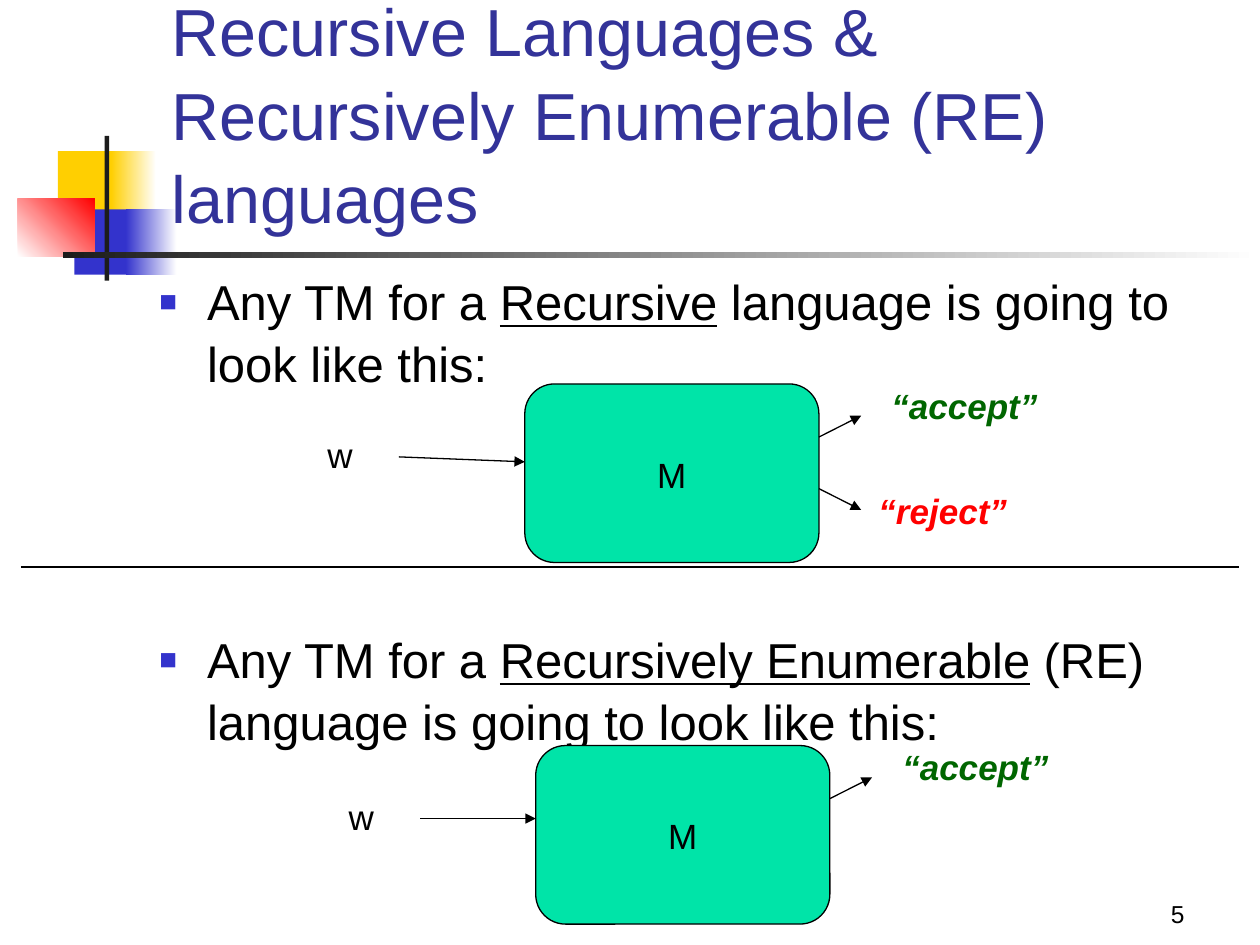
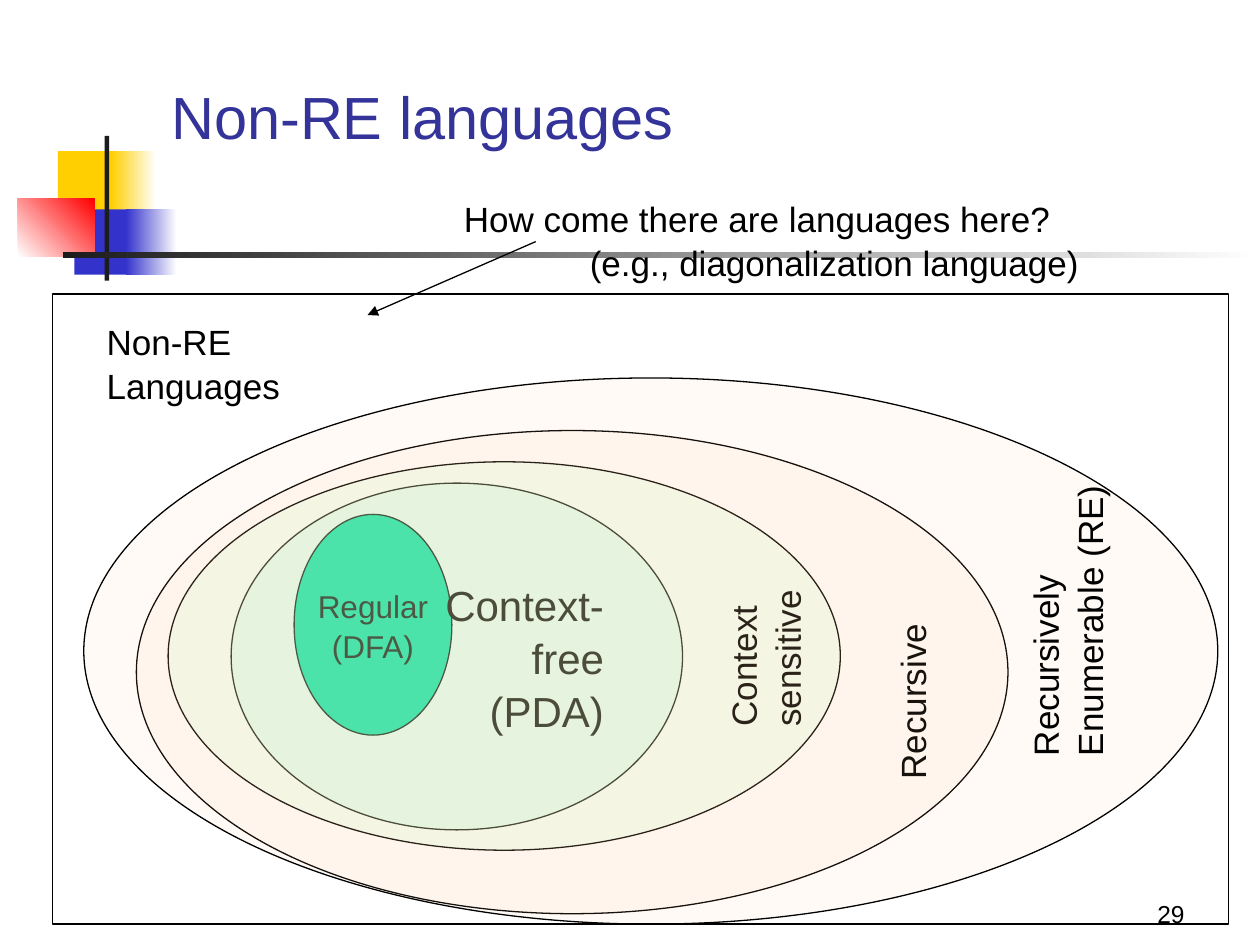
from dataclasses import dataclass

from lxml import etree
from pptx import Presentation
from pptx.dml.color import RGBColor
from pptx.enum.shapes import MSO_CONNECTOR, MSO_SHAPE
from pptx.enum.text import MSO_ANCHOR, MSO_AUTO_SIZE, PP_ALIGN
from pptx.oxml.ns import qn
from pptx.util import Cm, Pt

RECT, ROUNDED, OVAL = MSO_SHAPE.RECTANGLE, MSO_SHAPE.ROUNDED_RECTANGLE, MSO_SHAPE.OVAL
LEFT, CENTER, RIGHT = PP_ALIGN.LEFT, PP_ALIGN.CENTER, PP_ALIGN.RIGHT
TOP, MIDDLE, BOTTOM = MSO_ANCHOR.TOP, MSO_ANCHOR.MIDDLE, MSO_ANCHOR.BOTTOM
FIXED, GROW = MSO_AUTO_SIZE.NONE, MSO_AUTO_SIZE.SHAPE_TO_FIT_TEXT
STRAIGHT = MSO_CONNECTOR.STRAIGHT

FONT = "Arial"
LINE_SPACING = 1.05
TITLE_AND_BODY, TITLE_ONLY = 1, 5
COLORS = {
    "black": "000000",
    "white": "FFFFFF",
    "title": "333399",
    "yellow": "FFCF01",
    "blue": "3333CC",
    "red": "FF0000",
    "charcoal": "1C1C1C",
    "teal": "00E4A8",
    "mint": "CCFFCC",
    "peach": "FFCC99",
    "green": "006600",
}


@dataclass
class Box:
    left: float
    top: float
    width: float
    height: float

    def lengths(self) -> tuple:
        return Cm(self.left), Cm(self.top), Cm(self.width), Cm(self.height)


@dataclass
class Block:
    box: Box
    start: str
    end: str = ""
    angle: float = 0


@dataclass
class Outcome:
    text: str
    color: str
    arrow_from: float
    arrow_to: float
    label: Box


@dataclass
class Machine:
    left: float
    top: float
    input_left: float
    arrow_left: float
    arrow_drop: float
    outcomes: list


@dataclass
class Family:
    box: Box
    color: str
    opacity: int = 100
    text: str = ""
    size: int = 18
    align: PP_ALIGN = CENTER
    side_text: str = ""
    side_box: Box | None = None


DECORATION = [
    Block(Box(1.17, 3.05, 1.22, 1.32), "yellow"),
    Block(Box(2.24, 3.05, 0.91, 1.32), "yellow", "white"),
    Block(Box(1.5, 4.22, 1.17, 1.32), "blue"),
    Block(Box(2.54, 4.22, 1.02, 1.32), "blue", "white"),
    Block(Box(0.36, 4.01, 1.55, 1.17), "white", "red", 45),
    Block(Box(2.11, 2.74, 0.09, 2.92), "charcoal"),
    Block(Box(1.27, 5.08, 24.13, 0.13), "charcoal", "white"),
]

ACCEPT = Outcome("“accept”", "green", 1.07, 0.64, Box(7.14, -0.16, 3.48, 1.12))
REJECT = Outcome("“reject”", "red", 2.11, 2.54, Box(6.88, 1.96, 3.12, 1.12))
MACHINE_WIDTH, MACHINE_HEIGHT = 5.93, 3.6
MACHINES = [
    Machine(10.58, 7.74, 6.35, 8.04, 0.1, [ACCEPT, REJECT]),
    Machine(10.8, 15.03, 6.78, 8.47, 0, [ACCEPT]),
]

BULLETS = [
    ("Any TM for a ", "Recursive", " language is going to look like this:"),
    ("Any TM for a ", "Recursively Enumerable", " (RE) language is going to look like this:"),
]

FAMILIES = [
    Family(Box(5.93, 10.37, 3.18, 4.45), "teal", text="Regular\n(DFA)"),
    Family(Box(4.66, 9.74, 9.1, 6.99), "teal", 9, "Context-\vfree\n(PDA)", 24, RIGHT),
    Family(Box(3.39, 9.31, 13.55, 7.83), "mint", 20,
           side_text="Context\nsensitive", side_box=Box(13.74, 12.29, 3.25, 1.96)),
    Family(Box(2.75, 8.68, 17.57, 9.74), "peach", 9,
           side_text="Recursive", side_box=Box(16.51, 13.59, 3.66, 1.09)),
    Family(Box(1.69, 7.62, 22.86, 11.01), "peach", 9,
           side_text="Recursively\vEnumerable (RE)", side_box=Box(18.47, 11.53, 5.97, 1.96)),
]


def rgb(name: str) -> RGBColor:
    return RGBColor.from_string(COLORS[name])


def format_paragraph(para, size: float, color: str = "black", align=LEFT, emphasis: bool = False) -> None:
    para.alignment = align
    para.line_spacing = LINE_SPACING
    para.font.name = FONT
    para.font.size = Pt(size)
    para.font.color.rgb = rgb(color)
    para.font.bold = emphasis
    para.font.italic = emphasis


def write(frame, text: str, size: float, color: str = "black", align=LEFT,
          anchor=TOP, wrap: bool = False, emphasis: bool = False) -> None:
    frame.text = text
    frame.word_wrap = wrap
    frame.vertical_anchor = anchor
    for para in frame.paragraphs:
        format_paragraph(para, size, color, align, emphasis)


def add_label(page, box: Box, text: str, size: float = 20, color: str = "black",
              emphasis: bool = False, rotation: float = 0):
    label = page.shapes.add_textbox(*box.lengths())
    write(label.text_frame, text, size, color, emphasis=emphasis)
    label.text_frame.auto_size = GROW
    label.rotation = rotation
    return label


def add_outlined(page, kind: MSO_SHAPE, box: Box, color: str = "", opacity: int = 100):
    shape = page.shapes.add_shape(kind, *box.lengths())
    shape.shadow.inherit = False
    shape.line.color.rgb = rgb("black")
    shape.line.width = Pt(0.75)
    if not color:
        shape.fill.background()
        return shape
    shape.fill.solid()
    shape.fill.fore_color.rgb = rgb(color)
    if opacity < 100:
        tint = shape.fill._xPr.find(qn("a:solidFill"))[0]
        etree.SubElement(tint, qn("a:alpha")).set("val", str(opacity * 1000))
    return shape


def add_line(page, x1: float, y1: float, x2: float, y2: float, arrow: bool = True) -> None:
    line = page.shapes.add_connector(STRAIGHT, Cm(x1), Cm(y1), Cm(x2), Cm(y2))
    line.line.color.rgb = rgb("black")
    line.line.width = Pt(0.75)
    properties = line._element.spPr
    if arrow:
        etree.SubElement(properties.find(qn("a:ln")), qn("a:tailEnd")).set("type", "triangle")
    etree.SubElement(properties, qn("a:effectLst"))


def add_block(page, block: Block) -> None:
    shape = page.shapes.add_shape(RECT, *block.box.lengths())
    shape.shadow.inherit = False
    shape.line.fill.background()
    if block.end:
        shape.fill.gradient()
        shape.fill.gradient_angle = block.angle
        for stop, color in zip(shape.fill.gradient_stops, (block.start, block.end)):
            stop.color.rgb = rgb(color)
    else:
        shape.fill.solid()
        shape.fill.fore_color.rgb = rgb(block.start)


def place(placeholder, box: Box) -> None:
    placeholder.left, placeholder.top, placeholder.width, placeholder.height = box.lengths()


def add_page(deck, layout: int, title: str, size: float, title_top: float, number: int):
    page = deck.slides.add_slide(deck.slide_layouts[layout])
    for block in DECORATION:
        add_block(page, block)
    heading = page.shapes.title
    place(heading, Box(3.2, title_top, 21.64, 3.18))
    write(heading.text_frame, title, size, "title", anchor=BOTTOM, wrap=True)
    heading.text_frame.auto_size = FIXED
    page.shapes._spTree.append(heading._element)
    footer = page.shapes.add_textbox(*Box(18.84, 17.57, 5.29, 1.27).lengths())
    write(footer.text_frame, str(number), 14, align=RIGHT, anchor=BOTTOM, wrap=True)
    return page


def add_bullets(page) -> None:
    body = page.placeholders[1]
    place(body, Box(2.96, 5.29, 21.59, 11.43))
    frame = body.text_frame
    frame.auto_size = FIXED
    for index, (before, term, after) in enumerate(BULLETS):
        para = frame.add_paragraph() if index else frame.paragraphs[0]
        properties = para._p.get_or_add_pPr()
        properties.set("marL", str(Cm(0.96)))
        properties.set("indent", str(Cm(-0.96)))
        tint = etree.SubElement(properties, qn("a:buClr"))
        etree.SubElement(tint, qn("a:srgbClr")).set("val", COLORS["blue"])
        etree.SubElement(properties, qn("a:buSzPct")).set("val", "60000")
        etree.SubElement(properties, qn("a:buFont")).set("typeface", FONT)
        etree.SubElement(properties, qn("a:buChar")).set("char", "■")
        para.space_before = Pt(134 * index)
        format_paragraph(para, 28)
        for text in (before, term, after):
            span = para.add_run()
            span.text = text
            span.font.underline = text == term


def add_machine(page, machine: Machine) -> None:
    left, top = machine.left, machine.top
    right = left + MACHINE_WIDTH
    body = add_outlined(page, ROUNDED, Box(left, top, MACHINE_WIDTH, MACHINE_HEIGHT), "teal")
    write(body.text_frame, "M", 20, align=CENTER, anchor=MIDDLE)
    add_label(page, Box(machine.input_left, top + 0.84, 1.02, 1.09), "w")
    input_y = top + 1.47
    add_line(page, machine.arrow_left, input_y, left, input_y + machine.arrow_drop)
    for outcome in machine.outcomes:
        add_line(page, right, top + outcome.arrow_from, right + 0.85, top + outcome.arrow_to)
        label = outcome.label
        add_label(page, Box(left + label.left, top + label.top, label.width, label.height),
                  outcome.text, color=outcome.color, emphasis=True)


def add_family(page, family: Family) -> None:
    oval = add_outlined(page, OVAL, family.box, family.color, family.opacity)
    if family.text:
        write(oval.text_frame, family.text, family.size, align=family.align, anchor=MIDDLE)
    if family.side_box:
        add_label(page, family.side_box, family.side_text, rotation=270)


def build_machines(deck) -> None:
    page = add_page(deck, TITLE_AND_BODY,
                    "Recursive Languages &\vRecursively Enumerable (RE) languages", 38, 1.73, 5)
    add_bullets(page)
    for machine in MACHINES:
        add_machine(page, machine)
    add_line(page, 0.42, 11.43, 24.98, 11.43, arrow=False)


def build_hierarchy(deck) -> None:
    page = add_page(deck, TITLE_ONLY, "Non-RE languages", 34, 0, 29)
    for family in FAMILIES:
        add_family(page, family)
    add_label(page, Box(1.9, 6.3, 4, 1.96), "Non-RE\vLanguages")
    add_outlined(page, RECT, Box(1.06, 5.93, 23.71, 12.7))
    question = add_label(page, Box(9.1, 3.81, 13, 1.96),
                         "How come there are languages here?\n(e.g., diagonalization language)")
    question.text_frame.paragraphs[1]._p.get_or_add_pPr().set("marL", str(Cm(2.54)))
    add_line(page, 10.8, 4.87, 7.41, 6.35)


def main() -> None:
    deck = Presentation()
    deck.slide_width, deck.slide_height = Cm(25.4), Cm(19.05)
    build_machines(deck)
    build_hierarchy(deck)
    deck.save("out.pptx")


if __name__ == "__main__":
    main()
